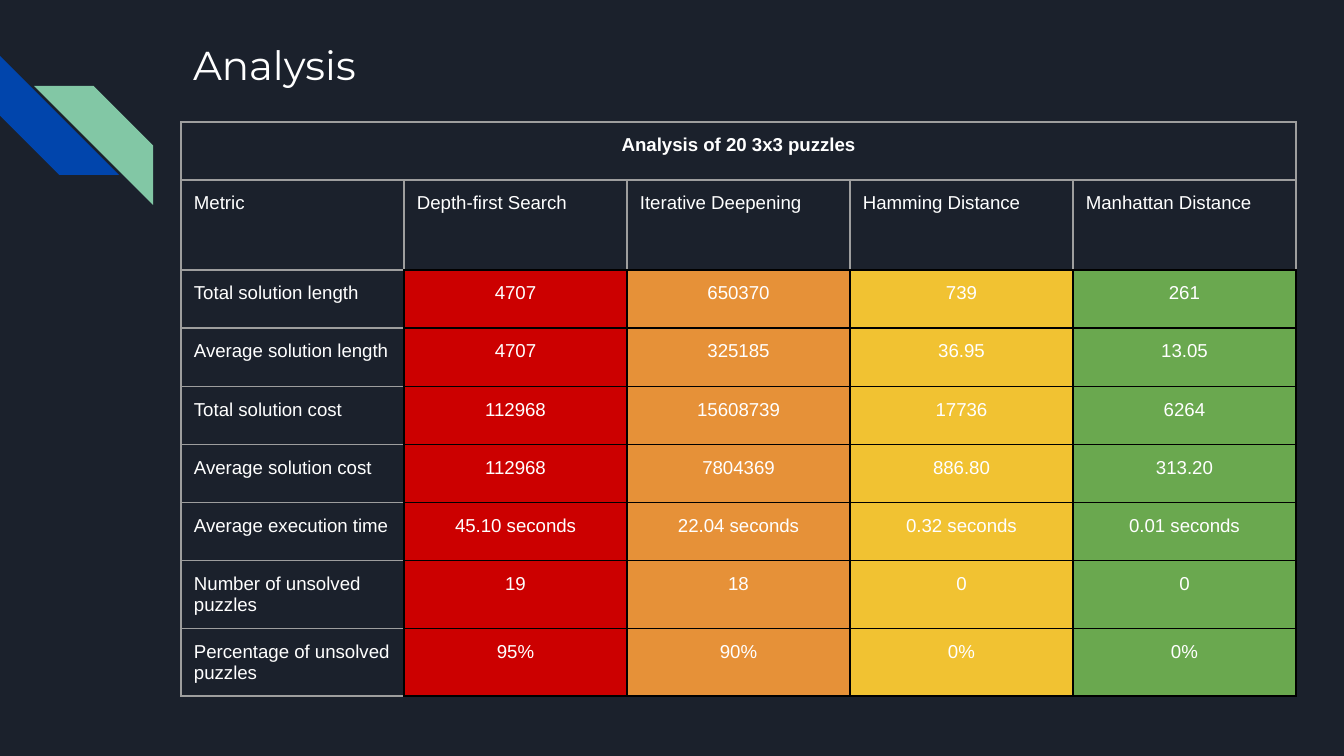
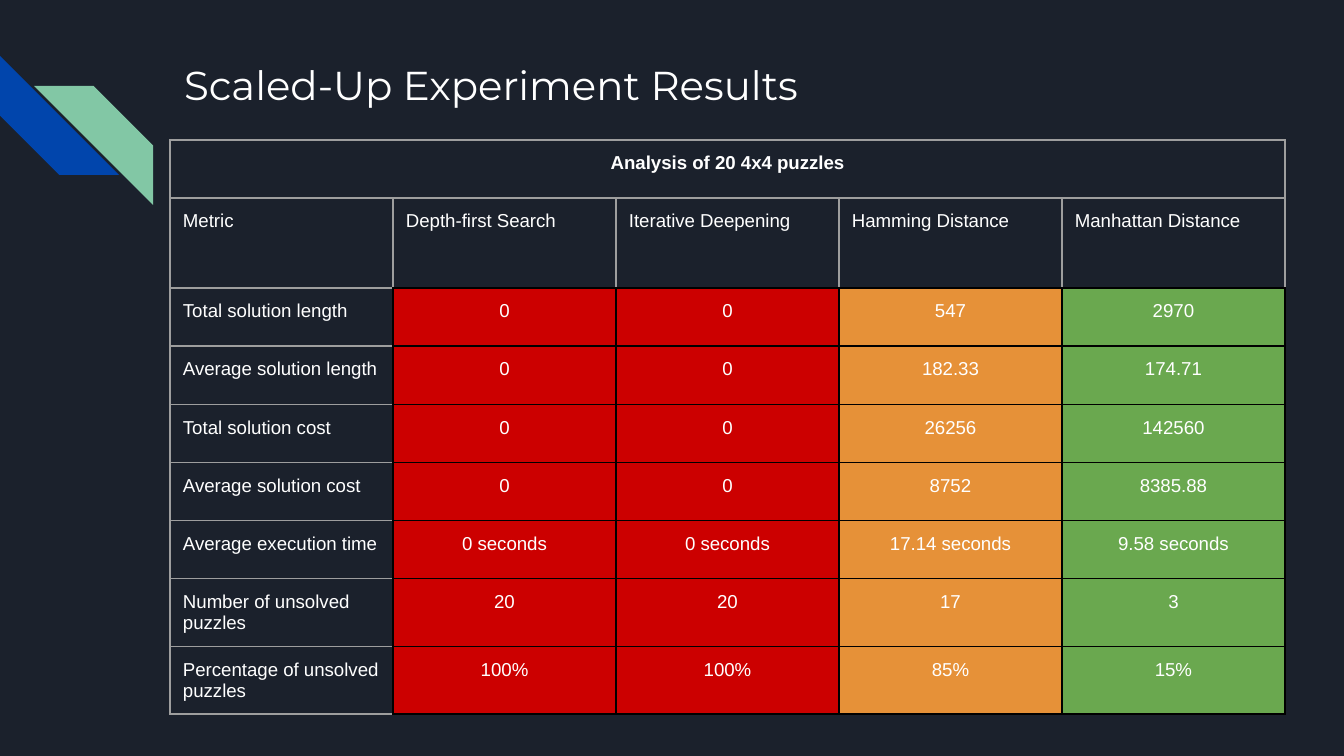
from dataclasses import dataclass

from lxml.etree import SubElement
from pptx import Presentation
from pptx.dml.color import RGBColor as RGB
from pptx.enum.shapes import MSO_SHAPE as SHAPE
from pptx.enum.text import MSO_ANCHOR as ANCHOR, MSO_AUTO_SIZE as AUTOSIZE, PP_ALIGN as ALIGN
from pptx.oxml.ns import qn
from pptx.util import Pt

EMU_PER_PX = 914400 / 134.4


@dataclass(frozen=True)
class Theme:
    back: str = "1B212C"
    text: str = "FFFFFF"
    blue: str = "0145AC"
    mint: str = "82C7A5"
    grid: str = "9E9E9E"
    edge: str = "000000"
    red: str = "CC0000"
    orange: str = "E69138"
    yellow: str = "F1C232"
    green: str = "6AA84F"
    title_font: str = "Montserrat"
    body_font: str = "Arial"
    title_size: float = 21.6
    body_size: float = 10
    border: float = 0.75


T = Theme()
INSET = 13
COL_W = 223
BANNER_H, HEADER_H, BODY_H = 58, 90, 291 / 5

ALGORITHMS = ["Depth-first Search", "Iterative Deepening",
              "Hamming Distance", "Manhattan Distance"]
METRICS = ["Total solution length", "Average solution length",
           "Total solution cost", "Average solution cost",
           "Average execution time", "Number of unsolved puzzles",
           "Percentage of unsolved puzzles"]

# One line per algorithm: cell colour, then a value for each metric
SLIDES = [
    dict(title="Analysis", title_box=(180, 27, 277, 78),
         banner="Analysis of 20 3x3 puzzles", table_at=(181, 122),
         results=[
             (T.red, ["4707", "4707", "112968", "112968", "45.10 seconds", "19", "95%"]),
             (T.orange, ["650370", "325185", "15608739", "7804369", "22.04 seconds", "18", "90%"]),
             (T.yellow, ["739", "36.95", "17736", "886.80", "0.32 seconds", "0", "0%"]),
             (T.green, ["261", "13.05", "6264", "313.20", "0.01 seconds", "0", "0%"]),
         ]),
    dict(title="Scaled-Up Experiment Results", title_box=(171, 47, 680, 78),
         banner="Analysis of 20 4x4 puzzles", table_at=(170, 140),
         results=[
             (T.red, ["0", "0", "0", "0", "0 seconds", "20", "100%"]),
             (T.red, ["0", "0", "0", "0", "0 seconds", "20", "100%"]),
             (T.orange, ["547", "182.33", "26256", "8752", "17.14 seconds", "17", "85%"]),
             (T.green, ["2970", "174.71", "142560", "8385.88", "9.58 seconds", "3", "15%"]),
         ]),
]


def px(n):
    return round(n * EMU_PER_PX)


def set_all(obj, **values):
    for name, value in values.items():
        setattr(obj, name, value)


def set_margins(obj):
    for side in ("left", "top", "right", "bottom"):
        setattr(obj, f"margin_{side}", px(INSET))


def write(tf, text, font, size, align=ALIGN.LEFT, bold=False):
    p = tf.paragraphs[0]
    p.alignment = align
    r = p.add_run()
    r.text = text
    set_all(r.font, name=font, size=Pt(size), bold=bold)
    r.font.color.rgb = RGB.from_string(T.text)


def add_stripes(slide, x, y, size):
    """Two diagonal stripes, the second shifted right and down."""
    grp = slide.shapes.add_group_shape()
    for dx, dy, turn, color in ((0, 0, 270, T.blue), (34, 30, 90, T.mint)):
        sp = grp.shapes.add_shape(SHAPE.DIAGONAL_STRIPE, px(x + dx), px(y + dy),
                                  px(size), px(size))
        sp.rotation = turn
        sp.shadow.inherit = False
        sp.fill.solid()
        sp.fill.fore_color.rgb = RGB.from_string(color)
        sp.line.fill.background()


def format_title(slide, text, box):
    sp = slide.shapes.title
    set_all(sp, **dict(zip(("left", "top", "width", "height"), map(px, box))))
    tf = sp.text_frame
    set_margins(tf)
    set_all(tf, word_wrap=True, auto_size=AUTOSIZE.NONE, vertical_anchor=ANCHOR.TOP)
    write(tf, text, T.title_font, T.title_size)


def set_borders(cell, **colors):
    """Draw the cell's edges; colors are keyed L, R, T, B."""
    tcPr = cell._tc.get_or_add_tcPr()
    for i, side in enumerate("LRTB"):
        ln = SubElement(tcPr, qn(f"a:ln{side}"), w=str(Pt(T.border)))
        fill = SubElement(ln, qn("a:solidFill"))
        SubElement(fill, qn("a:srgbClr"), val=colors[side])
        tcPr.insert(i, ln)


def format_cell(cell, text, fill=None, align=ALIGN.LEFT, bold=False, **edges):
    set_margins(cell)
    cell.vertical_anchor = ANCHOR.TOP
    if fill:
        cell.fill.solid()
        cell.fill.fore_color.rgb = RGB.from_string(fill)
    else:
        cell.fill.background()
    base = T.edge if fill else T.grid
    set_borders(cell, **{**dict.fromkeys("LRTB", base), **edges})
    if text:
        write(cell.text_frame, text, T.body_font, T.body_size, align, bold)


def add_results_table(slide, at, banner, results):
    heights = [BANNER_H, HEADER_H] + [BODY_H] * len(METRICS)
    n_cols = len(ALGORITHMS) + 1
    table = slide.shapes.add_table(len(heights), n_cols, *map(px, at),
                                   px(COL_W * n_cols), px(sum(heights))).table
    set_all(table, first_row=False, horz_banding=False)
    for row, h in zip(table.rows, heights):
        row.height = px(h)
    for col in table.columns:
        col.width = px(COL_W)

    for c in range(n_cols):
        format_cell(table.cell(0, c), "" if c else banner, align=ALIGN.CENTER, bold=True)
    table.cell(0, 0).merge(table.cell(0, n_cols - 1))

    format_cell(table.cell(1, 0), "Metric")
    for r, metric in enumerate(METRICS, 2):
        format_cell(table.cell(r, 0), metric, R=T.edge)
    for c, (name, (color, values)) in enumerate(zip(ALGORITHMS, results), 1):
        format_cell(table.cell(1, c), name, B=T.edge)
        for r, value in enumerate(values, 2):
            format_cell(table.cell(r, c), value, color, ALIGN.CENTER)


def add_results_slide(prs, title, title_box, banner, table_at, results):
    slide = prs.slides.add_slide(prs.slide_layouts.get_by_name("Title Only"))
    add_stripes(slide, 0, 56, 119)
    format_title(slide, title, title_box)
    add_results_table(slide, table_at, banner, results)


def main():
    prs = Presentation()
    set_all(prs, slide_width=px(1344), slide_height=px(756))
    back = prs.slide_master.background.fill
    back.solid()
    back.fore_color.rgb = RGB.from_string(T.back)
    for content in SLIDES:
        add_results_slide(prs, **content)
    prs.save("out.pptx")


if __name__ == "__main__":
    main()
